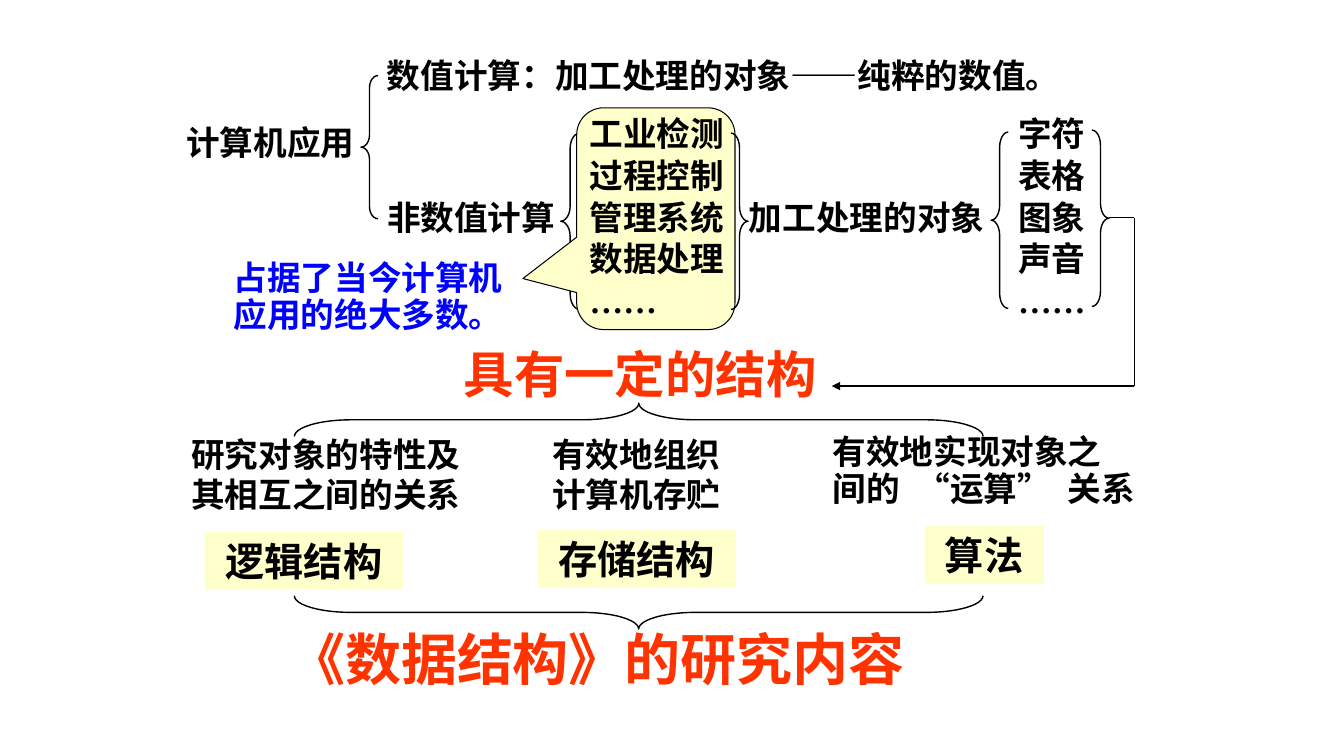
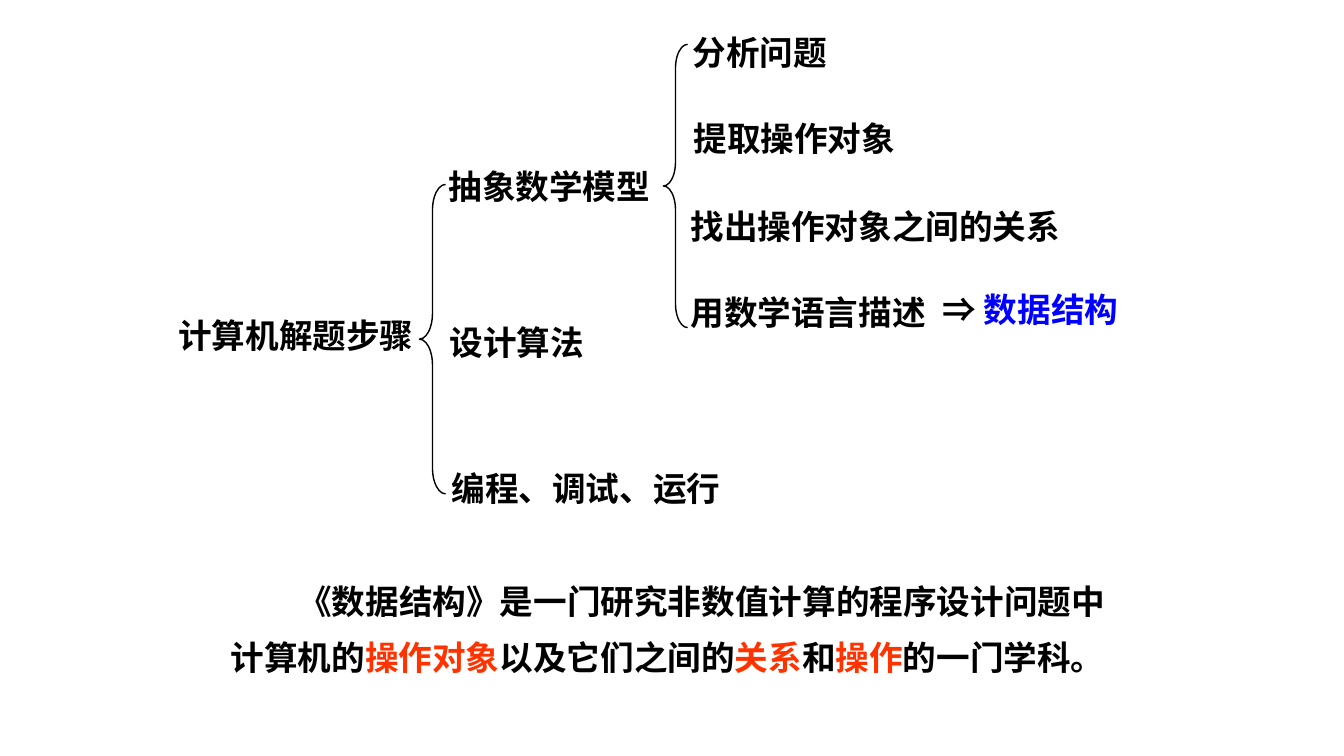
import pptx
import pptx.util
import pptx.dml.color
import pptx.enum.dml
import pptx.enum.lang
import pptx.enum.shapes
import pptx.enum.text
import pptx.oxml.ns
import lxml.etree

Inches = pptx.util.Inches
Pt = pptx.util.Pt
colour = pptx.dml.color.RGBColor.from_string
kinds = pptx.enum.shapes.MSO_SHAPE
BLACK, BLUE, RED, CREAM = "000000", "0000FF", "FF3300", "FFFFCC"
SERIF, SANS, ROBOTO = "Times New Roman", "Noto Sans CJK SC", "Roboto"

deck = pptx.Presentation()
deck.slide_width, deck.slide_height = Inches(13.33), Inches(7.5)
blank = deck.slide_layouts[6]


def write(page, place, lines, font=SERIF, size=24, ink=BLACK, pitch=None, fill=None):
    frame = [Inches(value) for value in place]
    if fill:
        box = draw(page, kinds.RECTANGLE, place, fill=fill, width=0)
    else:
        box = page.shapes.add_textbox(*frame)
    text = box.text_frame
    text.word_wrap = True
    for number, line in enumerate(lines):
        para = text.paragraphs[0] if number == 0 else text.add_paragraph()
        para.alignment = pptx.enum.text.PP_ALIGN.CENTER if fill else pptx.enum.text.PP_ALIGN.LEFT
        if pitch:
            para.line_spacing = Pt(pitch)
        for words, shade in [(line, ink)] if isinstance(line, str) else line:
            span = para.add_run()
            span.text = words
            look = {
                "name": font,
                "size": Pt(size),
                "bold": True,
                "language_id": pptx.enum.lang.MSO_LANGUAGE_ID.SIMPLIFIED_CHINESE,
            }
            for key, value in look.items():
                setattr(span.font, key, value)
            span.font.color.rgb = colour(shade)
    return box


def draw(page, kind, place, bends=(), fill=None, width=1, turn=0):
    shape = page.shapes.add_shape(kind, *[Inches(value) for value in place])
    shape.shadow.inherit = False
    shape.rotation = turn
    for number, bend in enumerate(bends):
        shape.adjustments[number] = bend
    if fill:
        shape.fill.solid()
        shape.fill.fore_color.rgb = colour(fill)
    else:
        shape.fill.background()
    if width:
        shape.line.color.rgb = colour(BLACK)
        shape.line.width = Pt(width)
    else:
        shape.line.fill.background()
    return shape


page = deck.slides.add_slide(blank)
draw(page, kinds.LEFT_BRACE, (5.56, 1.32, 0.19, 1.75), (0.79, 0.5))
draw(page, kinds.ROUNDED_RECTANGULAR_CALLOUT, (5.72, 1.07, 1.57, 2.2),
     (-0.84, 0.27, 0.17), CREAM, 0.75)
braces = [
    (kinds.LEFT_BRACE, (3.58, 0.75, 0.17, 1.42), 0.71, 0),
    (kinds.RIGHT_BRACE, (7.25, 1.32, 0.17, 1.75), 0.88, 0),
    (kinds.LEFT_BRACE, (9.83, 1.31, 0.17, 1.75), 0.88, 0),
    (kinds.RIGHT_BRACE, (10.83, 1.29, 0.17, 1.75), 0.88, 0),
    (kinds.LEFT_BRACE, (6.17, 0.75, 0.33, 6.83), 1.71, 90),
    (kinds.LEFT_BRACE, (6.17, 2.66, 0.33, 6.83), 1.71, 270),
]
for kind, place, curl, turn in braces:
    draw(page, kind, place, (curl, 0.5), turn=turn)

branches = [
    (1.75, 1.16, 2.33, "计算机应用"),
    (3.74, 0.5, 7.1, "数值计算：加工处理的对象——纯粹的数值。"),
    (3.74, 1.9, 2.01, "非数值计算"),
    (7.33, 1.9, 2.75, "加工处理的对象"),
]
for left, top, width, words in branches:
    write(page, (left, top, width, 0.5), [words])

columns = [
    (5.75, 1.62, ["工业检测", "过程控制", "管理系统", "数据处理", "……"]),
    (10, 0.95, ["字符", "表格", "图象", "声音", "……"]),
]
for left, width, items in columns:
    for row, words in enumerate(items):
        write(page, (left, 1.07 + row * 0.415, width, 0.5), [words])

write(page, (2.22, 2.53, 3.03, 0.86), ["占据了当今计算机", "应用的绝大多数。"],
      ink=BLUE, pitch=26.5)

corners = [(11, 2.16), (11.25, 2.16), (11.25, 3.83), (8.25, 3.83)]
for start, end in zip(corners, corners[1:]):
    link = page.shapes.add_connector(
        pptx.enum.shapes.MSO_CONNECTOR.STRAIGHT,
        *[Inches(value) for value in start + end])
    link.line.color.rgb = colour(BLACK)
    link.line.width = Pt(1)
    lxml.etree.SubElement(link._element.spPr, pptx.oxml.ns.qn("a:effectLst"))
arrow = lxml.etree.SubElement(link.line._get_or_add_ln(), pptx.oxml.ns.qn("a:tailEnd"))
arrow.set("type", "triangle")

write(page, (4.5, 3.36, 3.97, 0.7), ["具有一定的结构"], SANS, 36, RED)

topics = [
    ((1.8, 4.25, 2.98, 0.91), ["研究对象的特性及", "其相互之间的关系"], 29,
     (2.03, 5.28, 1.97, 0.57), "逻辑结构"),
    ((5.38, 4.25, 1.97, 0.91), ["有效地组织", "计算机存贮"], 29,
     (5.33, 5.26, 1.97, 0.57), "存储结构"),
    ((8.16, 4.26, 3.31, 0.87), ["有效地实现对象之", "间的\u2002“运算”\u2002关系"], 26.5,
     (9.17, 5.22, 1.18, 0.57), "算法"),
]
for caption_place, caption, pitch, label_place, label in topics:
    write(page, caption_place, caption, pitch=pitch)
    write(page, label_place, [label], size=28, fill=CREAM)

write(page, (2.77, 6.15, 6.84, 0.77), ["《数据结构》的研究内容"], SANS, 40, RED)

page = deck.slides.add_slide(blank)
draw(page, kinds.LEFT_BRACE, (4.16, 1.83, 0.26, 3.07), (0.99, 0.5))
draw(page, kinds.LEFT_BRACE, (6.58, 0.44, 0.24, 2.81), (0.99, 0.5))
steps = [
    (1.67, 3.08, 2.83, SERIF, "计算机解题步骤"),
    (4.35, 1.6, 2.3, ROBOTO, "抽象数学模型"),
    (4.36, 3.14, 1.66, SANS, "设计算法"),
    (4.38, 4.59, 2.97, ROBOTO, "编程、调试、运行"),
    (6.77, 0.27, 1.64, SANS, "分析问题"),
    (6.78, 1.12, 2.33, SANS, "提取操作对象"),
    (6.75, 1.99, 3.97, SANS, "找出操作对象之间的关系"),
    (6.75, 2.85, 2.64, SANS, "用数学语言描述"),
    (9.25, 2.82, 2.08, SANS, [("⇒ ", BLACK), ("数据结构", BLUE)]),
]
for left, top, width, font, words in steps:
    write(page, (left, top, width, 0.5), [words], font)

definition = write(page, (2.19, 5.56, 9.04, 1.17), [
    "《数据结构》是一门研究非数值计算的程序设计问题中",
    [("计算机的", BLACK), ("操作对象", RED), ("以及它们之间的", BLACK), ("关系", RED),
     ("和", BLACK), ("操作", RED), ("的一门学科。", BLACK)],
], pitch=40)
opening = definition.text_frame.paragraphs[0]
opening._p.get_or_add_pPr().set("indent", str(Inches(0.67)))

deck.save("out.pptx")
